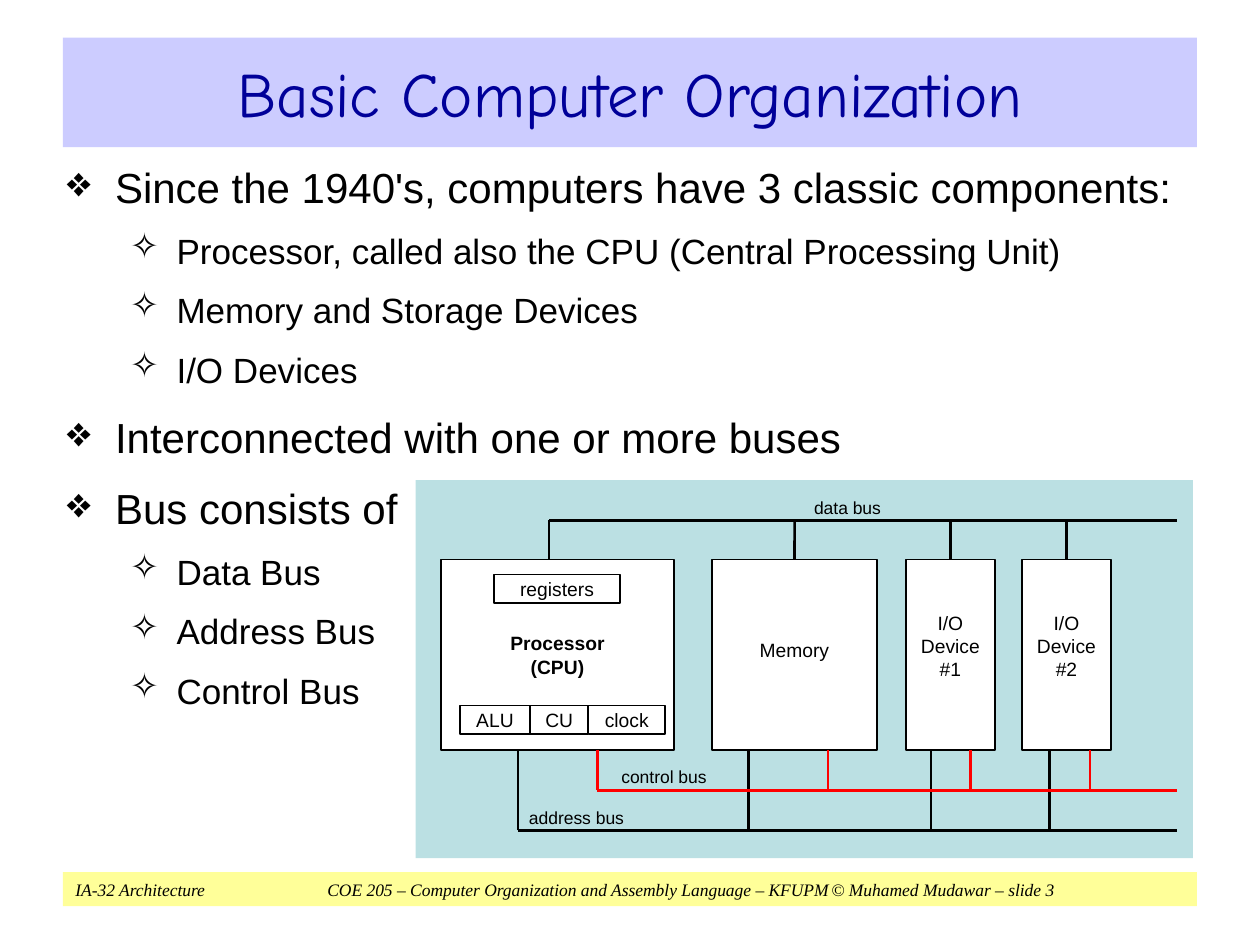
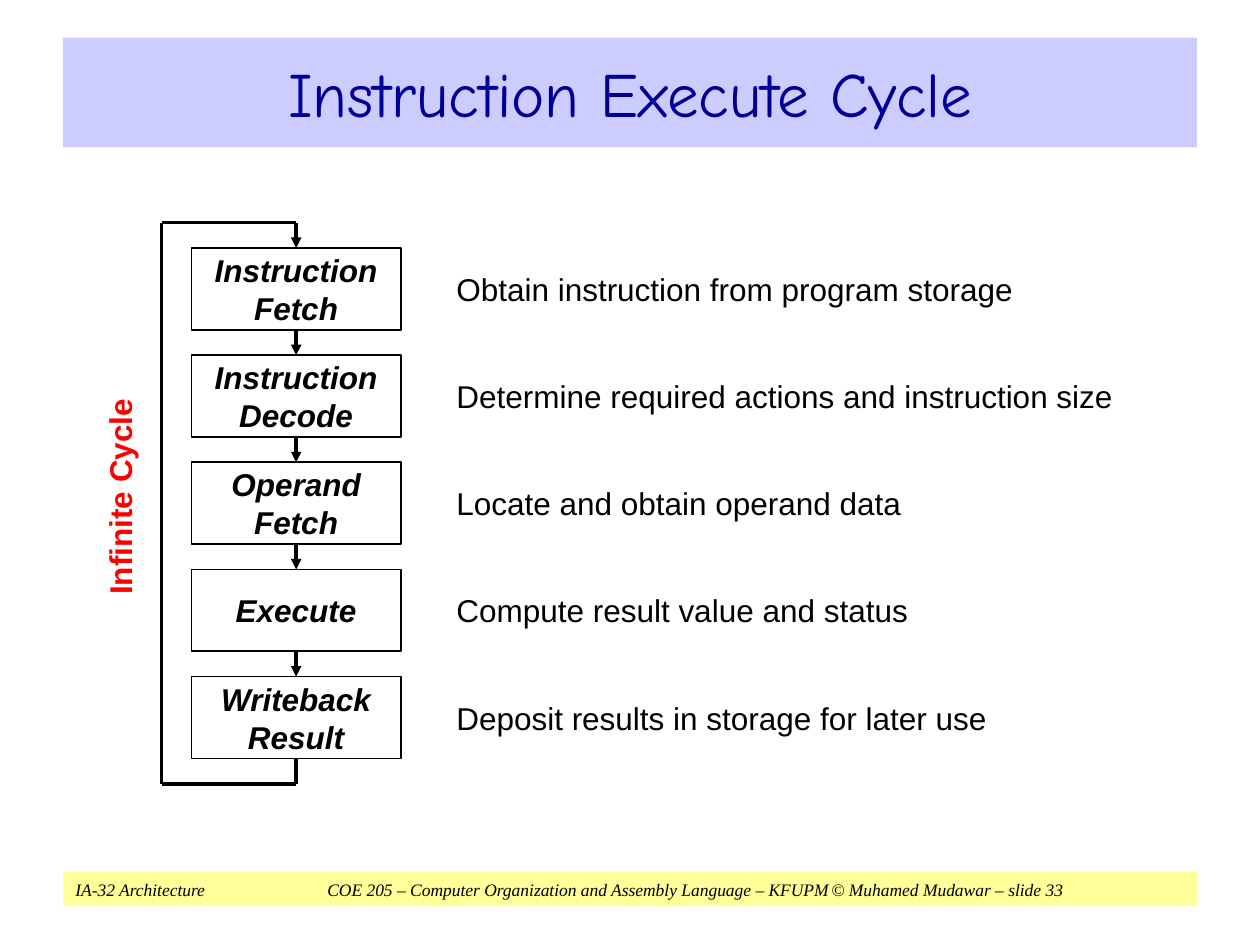
"""Build two slides on computer organization and the instruction cycle."""
import pptx
import pptx.dml.color
import pptx.enum.shapes
import pptx.enum.text
import pptx.oxml
import pptx.oxml.ns
import pptx.util

Cm = pptx.util.Cm
Pt = pptx.util.Pt
Align = pptx.enum.text.PP_ALIGN
Anchor = pptx.enum.text.MSO_ANCHOR
Kind = pptx.enum.shapes.MSO_SHAPE
Link = pptx.enum.shapes.MSO_CONNECTOR

HUES = {
    "black": "000000", "white": "FFFFFF", "red": "FF0000", "navy": "000099",
    "band": "CCCCFF", "foot": "FFFF99", "panel": "BBE0E3",
}
LEVELS = [
    {"mark": "❖", "size": 24, "gap": 12, "left": 0.97, "hang": 0.97},
    {"mark": "✧", "size": 20, "gap": 10, "left": 2.21, "hang": 0.94},
]


def hue(name):
    return pptx.dml.color.RGBColor.from_string(HUES[name])


def add_xml(parent, tag, **attrs):
    node = pptx.oxml.parse_xml(f'<a:{tag} {pptx.oxml.ns.nsdecls("a")}/>')
    for key, value in attrs.items():
        node.set(key, str(value))
    parent.append(node)
    return node


class Deck:
    """Hold the style and the slide being drawn."""

    def __init__(self):
        self.prs = pptx.Presentation()
        self.prs.slide_width, self.prs.slide_height = Cm(25.4), Cm(19.05)
        self.page = None

    def start(self, title, number):
        self.page = self.prs.slides.add_slide(self.prs.slide_layouts[6])
        foot = self.box(1.27, 17.58, 22.86, 0.69, fill="foot")
        self.frame(foot, pad=(0.25, 0.05))
        para = foot.text_frame.paragraphs[0]
        tabs = add_xml(para._p.get_or_add_pPr(), "tabLst")
        for stop in (5.08, 15.24):
            add_xml(tabs, "tab", pos=Cm(stop), algn="l")
        para.alignment = Align.LEFT
        parts = ("IA-32 Architecture",
                 "\tCOE 205 – Computer Organization and Assembly Language – KFUPM",
                 f"\t© Muhamed Mudawar – slide {number}")
        for part in parts:
            self.run(para, part, 10, font="Times New Roman", italic=True)
        band = self.box(1.27, 0.76, 22.86, 2.21, fill="band")
        self.text(band, [title], 36, font="Comic Neue", color="navy")

    def run(self, para, words, size, font="Arial", color="black",
            bold=False, italic=False):
        run = para.add_run()
        run.text = words
        run.font.name, run.font.size = font, Pt(size)
        run.font.bold, run.font.italic = bold, italic
        run.font.color.rgb = hue(color)

    def frame(self, shape, pad=(0, 0), lift=0, anchor=Anchor.MIDDLE):
        frame = shape.text_frame
        frame.word_wrap, frame.vertical_anchor = True, anchor
        frame.margin_left = frame.margin_right = Cm(pad[0])
        frame.margin_top, frame.margin_bottom = Cm(pad[1]), Cm(pad[1] + lift)
        return frame

    def text(self, shape, lines, size, align=Align.CENTER, pad=(0, 0),
             lift=0, **style):
        frame = self.frame(shape, pad, lift)
        for i, line in enumerate(lines):
            para = frame.add_paragraph() if i else frame.paragraphs[0]
            para.alignment = align
            self.run(para, line, size, **style)

    def box(self, x, y, w, h, fill=None, line=None):
        shape = self.page.shapes.add_shape(
            Kind.RECTANGLE, Cm(x), Cm(y), Cm(w), Cm(h))
        shape.shadow.inherit = False
        if fill:
            shape.fill.solid()
            shape.fill.fore_color.rgb = hue(fill)
        else:
            shape.fill.background()
        if line:
            shape.line.color.rgb, shape.line.width = hue("black"), Pt(line)
        else:
            shape.line.fill.background()
        return shape

    def unit(self, x, y, w, h, *lines, **style):
        shape = self.box(x, y, w, h, fill="white", line=0.88)
        self.text(shape, lines, 11, **style)
        return shape

    def label(self, x, y, w, h, words, size, **style):
        shape = self.page.shapes.add_textbox(Cm(x), Cm(y), Cm(w), Cm(h))
        self.text(shape, [words], size, **style)
        return shape

    def bullets(self, x, y, w, h, items):
        shape = self.page.shapes.add_textbox(Cm(x), Cm(y), Cm(w), Cm(h))
        frame = self.frame(shape, pad=(0, 0.13), anchor=Anchor.TOP)
        for i, (depth, words) in enumerate(items):
            para = frame.add_paragraph() if i else frame.paragraphs[0]
            look = LEVELS[depth]
            props = para._p.get_or_add_pPr()
            props.set("marL", str(Cm(look["left"])))
            props.set("indent", str(-Cm(look["hang"])))
            add_xml(props, "buChar", char=look["mark"])
            para.level = depth
            if i:
                para.space_before = Pt(look["gap"])
            self.run(para, words, look["size"])

    def line(self, x1, y1, x2, y2, width=1.5, color="black", arrow=False,
             start=None, end=None):
        wire = self.page.shapes.add_connector(
            Link.STRAIGHT, Cm(x1), Cm(y1), Cm(x2), Cm(y2))
        wire.line.color.rgb, wire.line.width = hue(color), Pt(width)
        props = wire._element.spPr
        if arrow:
            add_xml(props.get_or_add_ln(), "tailEnd", type="triangle")
        add_xml(props, "effectLst")
        if start:
            wire.begin_connect(start, 2)
        if end:
            wire.end_connect(end, 0)

    def bus(self, y, edge, drops, color="black", ends=()):
        self.line(drops[0], y, 23.72, y, color=color)
        for i, x in enumerate(drops):
            self.line(x, y, x, edge, color=color, end=ends[i] if ends else None)


def draw_parts(deck):
    deck.start("Basic Computer Organization", 3)
    deck.bullets(1.35, 3.12, 22.63, 12.95, [
        (0, "Since the 1940's, computers have 3 classic components:"),
        (1, "Processor, called also the CPU (Central Processing Unit)"),
        (1, "Memory and Storage Devices"),
        (1, "I/O Devices"),
        (0, "Interconnected with one or more buses"),
        (0, "Bus consists of"),
        (1, "Data Bus"),
        (1, "Address Bus"),
        (1, "Control Bus"),
    ])
    deck.box(8.38, 9.68, 15.67, 7.62, fill="panel")
    top, tall = 11.28, 3.84
    deck.unit(8.89, top, 4.7, tall, "Processor", "(CPU)", bold=True)
    store = deck.unit(14.35, top, 3.33, tall, "Memory", lift=0.18)
    ports = [deck.unit(x, top, 1.8, tall, "I/O", "Device", f"#{i}", lift=0.36)
             for i, x in enumerate((18.26, 20.6), 1)]
    deck.unit(9.96, 11.58, 2.54, 0.58, "registers")
    x = 9.27
    for name, wide in (("ALU", 1.42), ("CU", 1.17), ("clock", 1.55)):
        deck.unit(x, 14.22, wide, 0.58, name)
        x += wide
    base = top + tall
    deck.bus(16.74, base, (10.44, 15.09, 18.77, 21.16))
    deck.bus(10.49, top, (11.07, 16.02, 19.16, 21.5),
             ends=(None, store, *ports))
    deck.bus(15.93, base, (12.04, 16.69, 19.56, 21.97), color="red")
    for x, y, wide, name in ((16.36, 10.01, 1.45, "data bus"),
                             (12.46, 15.44, 1.85, "control bus"),
                             (10.61, 16.26, 2.02, "address bus")):
        deck.label(x, y, wide, 0.43, name, 10)


def draw_cycle(deck):
    deck.start("Instruction Execute Cycle", 33)
    steps = [
        (("Instruction", "Fetch"), "Obtain instruction from program storage"),
        (("Instruction", "Decode"),
         "Determine required actions and instruction size"),
        (("Operand", "Fetch"), "Locate and obtain operand data"),
        (("Execute",), "Compute result value and status"),
        (("Writeback", "Result"), "Deposit results in storage for later use"),
    ]
    left, top, wide, tall, step = 3.86, 5, 4.22, 1.65, 2.16
    pad = (0.18, 0.08)
    boxes = []
    for i, (name, task) in enumerate(steps):
        y = top + i * step
        shape = deck.box(left, y, wide, tall, line=1)
        deck.text(shape, name, 18, pad=pad, bold=True, italic=True)
        deck.label(9.02, y + 0.38, 13.72, 0.89, task, 18,
                   align=Align.LEFT, pad=pad)
        boxes.append(shape)
    mid, gap = left + wide / 2, step - tall
    for above, below in zip(boxes, boxes[1:]):
        deck.line(mid, top, mid, top + gap, 2, arrow=True,
                  start=above, end=below)
    back, high, base = 3.26, top - gap, top + len(steps) * step
    deck.line(mid, base - gap, mid, base, 2, start=boxes[-1])
    deck.line(mid, base, back, base, 2)
    deck.line(back, base, back, high, 2)
    deck.line(back, high, mid, high, 2)
    deck.line(mid, high, mid, top, 2, arrow=True, end=boxes[0])
    loop = deck.label(0.11, 9.57, 4.6, 0.89, "Infinite Cycle", 18,
                      pad=pad, color="red", bold=True)
    loop.rotation = 270


def main():
    deck = Deck()
    draw_parts(deck)
    draw_cycle(deck)
    deck.prs.save("out.pptx")


if __name__ == "__main__":
    main()
